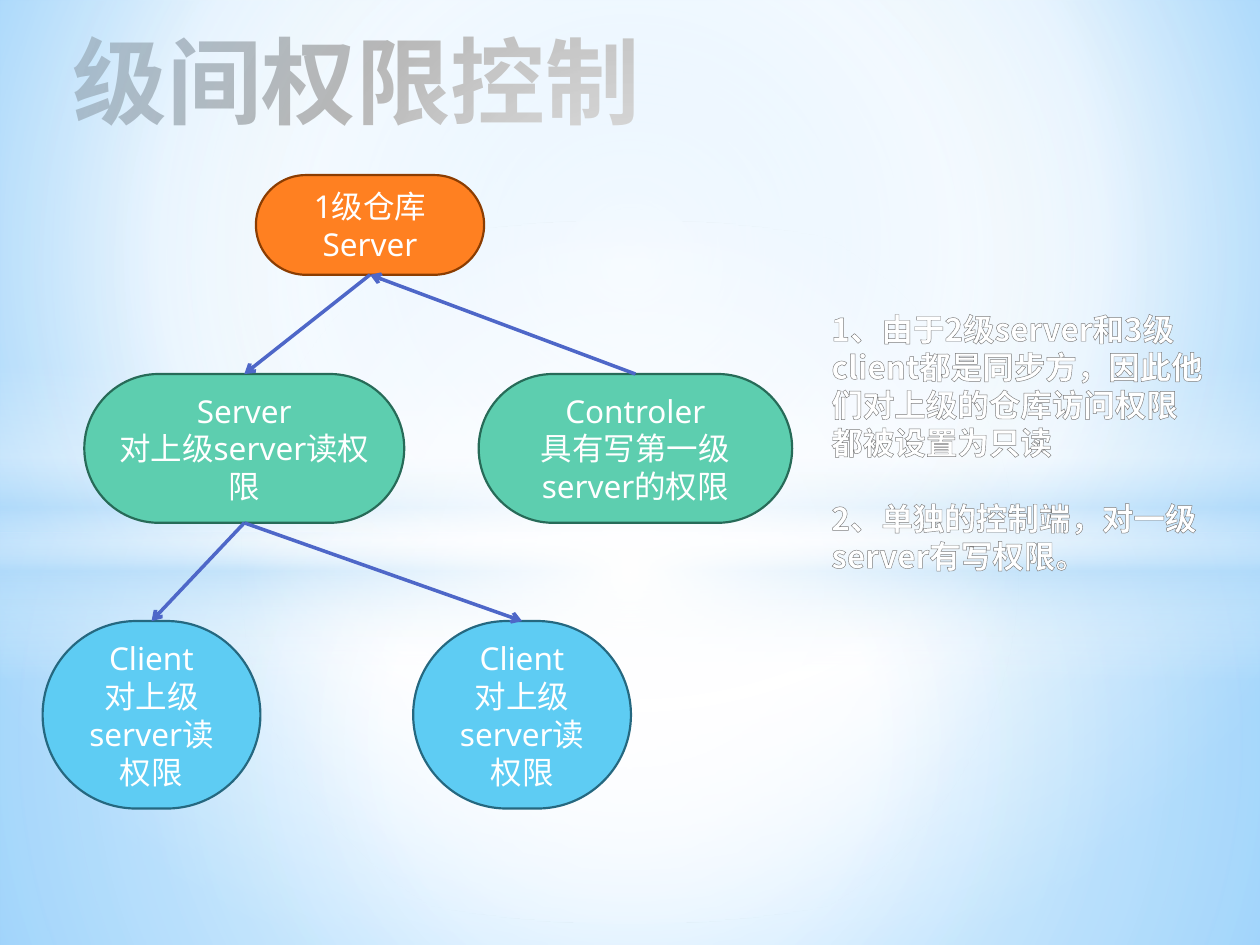
from lxml import etree
from pptx import Presentation
from pptx.dml.color import RGBColor
from pptx.enum.shapes import MSO_CONNECTOR, MSO_SHAPE
from pptx.enum.text import MSO_ANCHOR, MSO_AUTO_SIZE, PP_ALIGN
from pptx.oxml.ns import qn
from pptx.util import Cm, Pt

RECT, OVAL, PILL = MSO_SHAPE.RECTANGLE, MSO_SHAPE.OVAL, MSO_SHAPE.ROUNDED_RECTANGLE
STRAIGHT = MSO_CONNECTOR.STRAIGHT
TOP, MIDDLE = MSO_ANCHOR.TOP, MSO_ANCHOR.MIDDLE
LEFT, CENTER = PP_ALIGN.LEFT, PP_ALIGN.CENTER
NO_FIT = MSO_AUTO_SIZE.NONE

THEME = {
    "font": "Noto Sans", "cjk": "Noto Sans CJK SC",
    "title": Pt(54), "body": Pt(18), "gap": Pt(21.7),
    "text": "FFFFFF", "arrow": "4E67C8", "outline": "7D7D7D",
    "root": ("FF8021", "8B3D02"),
    "middle": ("5DCEAF", "276B58"),
    "leaf": ("5ECCF3", "256880"),
    "backdrop": [(0, "9ED5FF", 100), (60, "FFFFFF", 100), (100, "5BB9FF", 100)],
    "title_fill": [(0, "000000", 100), (40, "404040", 100), (100, "212745", 65)],
    "note_fill": [(0, "FFFFFF", 100), (9, "FFFFFF", 100), (50, "7F7F7F", 100),
                  (79, "FFFFFF", 100), (100, "FFFFFF", 100)],
}


def gradient(stops, focus=None):
    grad = etree.Element(qn("a:gradFill"), rotWithShape="1")
    stop_list = etree.SubElement(grad, qn("a:gsLst"))
    for pos, color, alpha in stops:
        gs = etree.SubElement(stop_list, qn("a:gs"), pos=str(pos * 1000))
        clr = etree.SubElement(gs, qn("a:srgbClr"), val=color)
        if alpha < 100:
            etree.SubElement(clr, qn("a:alpha"), val=str(alpha * 1000))
    if focus:
        circle = etree.SubElement(grad, qn("a:path"), path="circle")
        sides = {side: str(v * 1000) for side, v in zip("ltrb", focus)}
        etree.SubElement(circle, qn("a:fillToRect"), **sides)
    else:
        etree.SubElement(grad, qn("a:lin"), ang="5400000", scaled="0")
    return grad


def write(tf, lines, font, align, **style):
    tf.word_wrap = True
    for i, line in enumerate(lines):
        p = tf.paragraphs[0] if i == 0 else tf.add_paragraph()
        p.alignment = align
        r = p.add_run()
        r.text = line
        for name, value in style.items():
            setattr(r.font, name, value)
        r.font.name = font
        r.font.color.rgb = RGBColor.from_string(THEME["text"])
        ea = etree.Element(qn("a:ea"), typeface=THEME["cjk"])
        r.font._element.find(qn("a:latin")).addnext(ea)


prs = Presentation()
prs.slide_width, prs.slide_height = Cm(25.4), Cm(19.05)
s = prs.slides.add_slide(prs.slide_layouts[5])

s.background.fill.solid()
solid = s.element.xpath(".//p:bgPr/a:solidFill")[0]
solid.getparent().replace(solid, gradient(THEME["backdrop"], (20, 10, 20, 60)))

center = (50, 50, 50, 50)
glows = [
    (RECT, 10.74, 8.31, center, [(0, "FFFFFF", 91), (37, "FFFFFF", 76), (100, "B4DCFA", 79)]),
    (RECT, 0, 10.74, center, [(0, "FFFFFF", 89), (48, "FFFFFF", 62), (100, "B4DCFA", 79)]),
    (RECT, 7.37, 6.35, None, [(0, "FFFFFF", 0), (29, "FFFFFF", 30), (45, "B4DCFA", 40),
                              (55, "FFFFFF", 26), (65, "B4DCFA", 60), (100, "FFFFFF", 0)]),
    (OVAL, 4.45, 14.17, center, [(0, "FFFFFF", 100), (54, "FFFFFF", 0)]),
]
for kind, top, height, focus, stops in glows:
    sp = s.shapes.add_shape(kind, 0, Cm(top), prs.slide_width, Cm(height))
    sp.shadow.inherit = False
    sp.line.fill.background()
    sp.fill.solid()
    solid = sp._element.spPr.find(qn("a:solidFill"))
    solid.getparent().replace(solid, gradient(stops, focus))

title = s.shapes.title
title.left, title.top, title.width, title.height = Cm(0.71), Cm(0.33), Cm(15.19), Cm(3)
tf = title.text_frame
tf.auto_size, tf.vertical_anchor = NO_FIT, TOP
write(tf, ["级间权限控制"], THEME["font"], LEFT, size=THEME["title"], bold=True)
tf.paragraphs[0]._p.get_or_add_pPr().set("marL", str(Cm(0.5)))
rPr = tf.paragraphs[0].runs[0].font._element
rPr.replace(rPr.find(qn("a:solidFill")), gradient(THEME["title_fill"]))

levels = {"root": (3.53, 2.01), "middle": (7.54, 3), "leaf": (12.52, 3.78)}
read_only = "对上级server读权限"
nodes = [
    ("root", "root", 5.16, 4.6, ["1级仓库Server"]),
    ("server", "middle", 1.7, 6.45, ["Server", read_only]),
    ("controller", "middle", 9.65, 6.32, ["Controler", "具有写第一级server的权限"]),
    ("client_left", "leaf", 0.86, 4.39, ["Client", read_only]),
    ("client_right", "leaf", 8.33, 4.39, ["Client", read_only]),
]
pills = {}
for name, level, left, width, lines in nodes:
    top, height = levels[level]
    fill, line = THEME[level]
    sp = s.shapes.add_shape(PILL, Cm(left), Cm(top), Cm(width), Cm(height))
    sp.adjustments[0] = 0.5
    sp.shadow.inherit = False
    sp.fill.solid()
    sp.fill.fore_color.rgb = RGBColor.from_string(fill)
    sp.line.color.rgb = RGBColor.from_string(line)
    sp.line.width = Pt(1.25)
    sp.text_frame.vertical_anchor = MIDDLE
    write(sp.text_frame, lines, THEME["font"], CENTER, size=THEME["body"])
    pills[name] = sp

top_site, bottom_site = 0, 2
arrows = [
    ("root", bottom_site, "server", top_site),
    ("server", bottom_site, "client_left", top_site),
    ("server", bottom_site, "client_right", top_site),
    ("controller", top_site, "root", bottom_site),
]
for source, source_site, target, target_site in arrows:
    cn = s.shapes.add_connector(STRAIGHT, 0, 0, 0, 0)
    cn.begin_connect(pills[source], source_site)
    cn.end_connect(pills[target], target_site)
    cn.line.color.rgb = RGBColor.from_string(THEME["arrow"])
    cn.line.width = Pt(2)
    etree.SubElement(cn.line._get_or_add_ln(), qn("a:tailEnd"), type="arrow")
    etree.SubElement(cn._element.spPr, qn("a:effectLst"))

notes = ["1、由于2级server和3级client都是同步方，因此他们对上级的仓库访问权限都被设置为只读",
         "2、单独的控制端，对一级server有写权限。"]
tb = s.shapes.add_textbox(Cm(16.51), Cm(6.12), Cm(8), Cm(5.64))
tf = tb.text_frame
write(tf, notes, THEME["cjk"], LEFT, size=THEME["body"], bold=True)
tf.paragraphs[1].space_before = THEME["gap"]
for p in tf.paragraphs:
    rPr = p.runs[0].font._element
    rPr.replace(rPr.find(qn("a:solidFill")), gradient(THEME["note_fill"]))
    ln = etree.Element(qn("a:ln"), w=str(Pt(0.83)))
    fill = etree.SubElement(ln, qn("a:solidFill"))
    etree.SubElement(fill, qn("a:srgbClr"), val=THEME["outline"])
    rPr.insert(0, ln)

prs.save("out.pptx")
